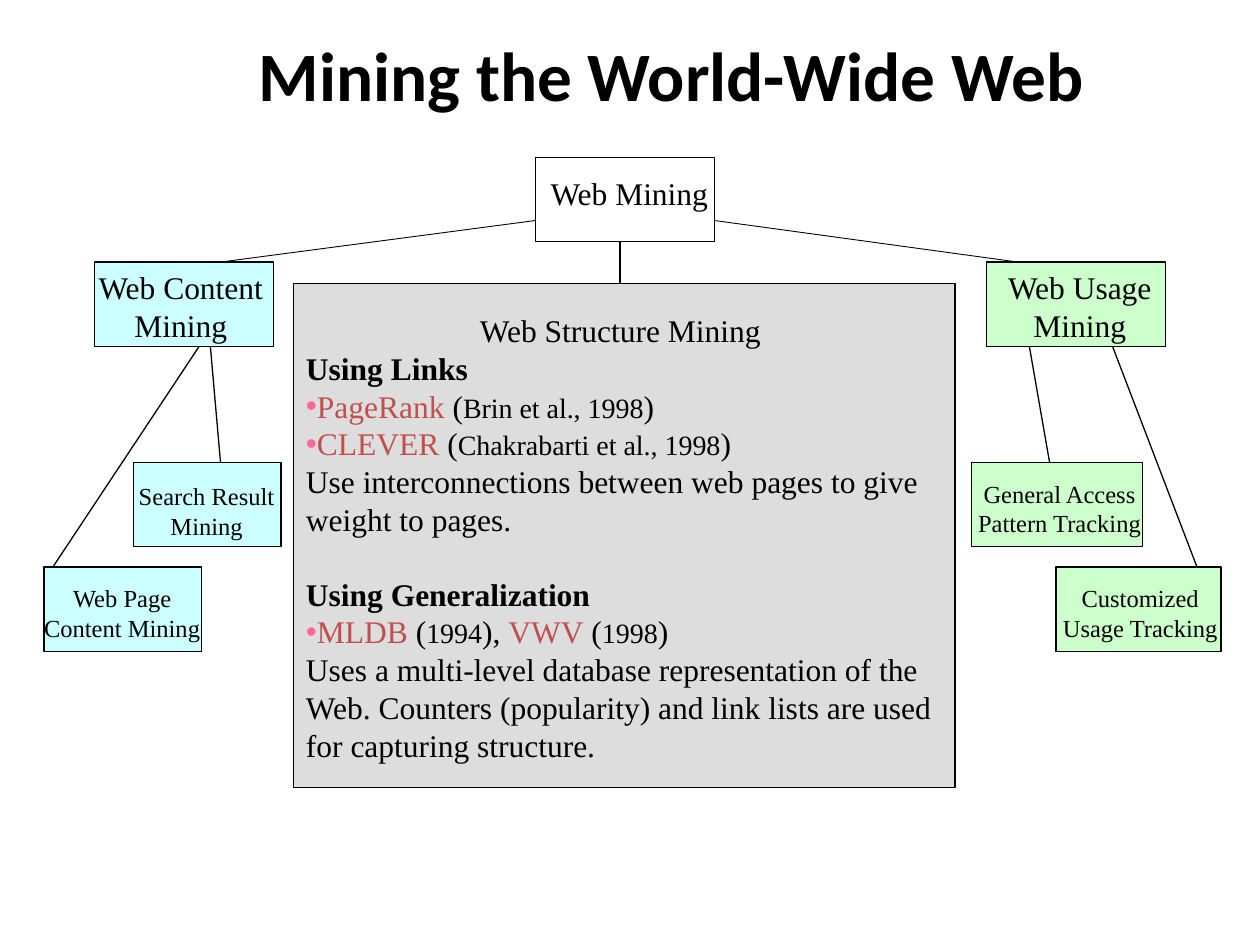
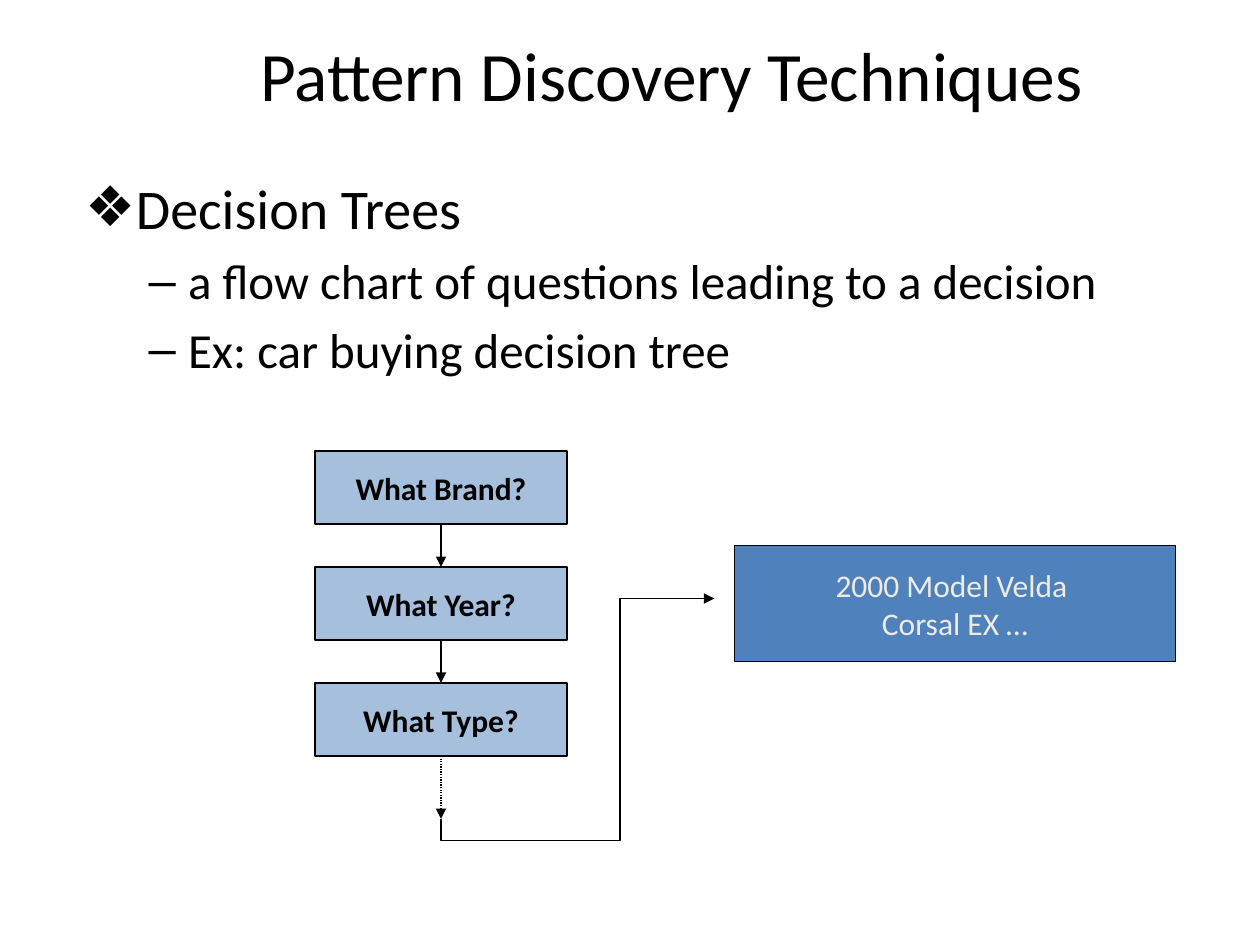
from dataclasses import dataclass
from typing import Optional

import pptx
import pptx.dml.color
import pptx.enum.dml
import pptx.enum.shapes
import pptx.enum.text
import pptx.oxml.ns
import pptx.util
from lxml import etree

Inches = pptx.util.Inches
Pt = pptx.util.Pt
qn = pptx.oxml.ns.qn
RECTANGLE = pptx.enum.shapes.MSO_SHAPE.RECTANGLE
STRAIGHT = pptx.enum.shapes.MSO_CONNECTOR.STRAIGHT
MIDDLE = pptx.enum.text.MSO_ANCHOR.MIDDLE
CENTER = pptx.enum.text.PP_ALIGN.CENTER

# Shared style
SANS, SERIF = "Calibri", "Times New Roman"
BLACK, RED, PINK = "000000", "C0504D", "FF6699"
CYAN, GREEN, GREY = "CCFFFF", "CCFFCC", "DDDDDD"
BLUE, CREAM = "4F81BD", "EEECE1"


@dataclass
class Node:
    """A tree box and the label laid over it."""
    lines: str
    left: float
    top: float
    width: float
    fill: Optional[str]
    label_left: float
    label_top: float
    label_width: float
    size: float = 14


@dataclass
class Link:
    x1: float
    y1: float
    x2: float
    y2: float
    width: float = 0.75


@dataclass
class Span:
    text: str
    size: float = 18
    color: str = BLACK
    bold: bool = False


@dataclass
class Para:
    spans: list[Span]
    bullet: bool = False
    centered: bool = False
    before: float = 0


# Drawing helpers
def rgb(value: str):
    return pptx.dml.color.RGBColor.from_string(value)


def style_run(r, font: str, size: float, color: str = BLACK, bold: bool = False):
    r.font.name, r.font.size, r.font.bold = font, Pt(size), bold
    r.font.color.rgb = rgb(color)


def style_text(tf, font: str, size: float, color: str = BLACK, bold: bool = False):
    for p in tf.paragraphs:
        p.alignment = CENTER
        for r in p.runs:
            style_run(r, font, size, color, bold)


def add_title(s, text: str, bold: bool = False):
    sp = s.shapes.title
    sp.left, sp.top, sp.width, sp.height = map(Inches, (1.08, 0.25, 8.5, 0.67))
    tf = sp.text_frame
    tf.text = text
    tf.auto_size = pptx.enum.text.MSO_AUTO_SIZE.NONE
    tf.vertical_anchor = MIDDLE
    style_text(tf, SANS, 39.6, BLACK, bold)


def outline(sp, width: float):
    sp.line.color.rgb = rgb(BLACK)
    sp.line.width = Pt(width)


def add_box(s, left: float, top: float, width: float, height: float,
            fill: Optional[str], line: float = 0.75, alpha: int = 100):
    sp = s.shapes.add_shape(RECTANGLE, *map(Inches, (left, top, width, height)))
    sp.shadow.inherit = False
    if fill:
        sp.fill.solid()
        sp.fill.fore_color.rgb = rgb(fill)
        if alpha < 100:
            color = sp._element.spPr.find(qn("a:solidFill"))[0]
            etree.SubElement(color, qn("a:alpha"), val=str(alpha * 1000))
    else:
        sp.fill.background()
    outline(sp, line)
    return sp


def add_text_box(s, left: float, top: float, width: float, height: float, wrap: bool):
    tf = s.shapes.add_textbox(*map(Inches, (left, top, width, height))).text_frame
    tf.word_wrap = wrap
    return tf


def add_line(s, link: Link, arrow: bool = False):
    c = s.shapes.add_connector(
        STRAIGHT, *map(Inches, (link.x1, link.y1, link.x2, link.y2)))
    outline(c, link.width)
    if arrow:
        etree.SubElement(c.line._get_or_add_ln(), qn("a:tailEnd"), type="triangle")
    etree.SubElement(c._element.spPr, qn("a:effectLst"))
    return c


def set_bullet(p, char: str, color: Optional[str] = None):
    pPr = p._p.get_or_add_pPr()
    if color:
        clr = etree.SubElement(pPr, qn("a:buClr"))
        etree.SubElement(clr, qn("a:srgbClr"), val=color)
    etree.SubElement(pPr, qn("a:buFont"), typeface="Arial")
    etree.SubElement(pPr, qn("a:buChar"), char=char)


def add_node(s, node: Node):
    add_box(s, node.left, node.top, node.width, 0.67, node.fill)
    height = 0.1 + (node.lines.count("\n") + 1) * node.size / 60
    tf = add_text_box(s, node.label_left, node.label_top, node.label_width, height, False)
    tf.text = node.lines
    style_text(tf, SERIF, node.size)


# Slide 1: taxonomy of web mining
NODES = [
    Node("Web Mining", 4.25, 1.25, 1.42, None, 4.26, 1.33, 1.47, 18),
    Node("Web Content\nMining", 0.75, 2.08, 1.42, CYAN, 0.67, 2.08, 1.53, 18),
    Node("Search Result\nMining", 1.06, 3.67, 1.17, CYAN, 1, 3.77, 1.28),
    Node("Web Page\nContent Mining", 0.35, 4.5, 1.25, CYAN, 0.25, 4.58, 1.44),
    Node("Web Usage\nMining", 7.83, 2.08, 1.42, GREEN, 7.89, 2.08, 1.36, 18),
    Node("General Access\nPattern Tracking", 7.71, 3.67, 1.36, GREEN, 7.66, 3.75, 1.5),
    Node("Customized\nUsage Tracking", 8.38, 4.5, 1.31, GREEN, 8.33, 4.58, 1.44),
]
LINKS = [
    Link(4.92, 1.92, 4.92, 2.25),
    Link(1.67, 2.75, 1.75, 3.67),
    Link(1.58, 2.75, 0.42, 4.5),
    Link(8.17, 2.75, 8.33, 3.67),
    Link(8.83, 2.75, 9.5, 4.5),
    Link(5.67, 1.75, 8.08, 2.08, 0.5),
    Link(4.25, 1.75, 1.75, 2.08, 0.5),
]


def cited(name: str, source: str, end: str = ")") -> list[Span]:
    return [Span(name, color=RED), Span(" ("), Span(source, 16), Span(end)]


STRUCTURE = [
    Para([Span("Web Structure Mining ")], centered=True),
    Para([Span("Using Links", bold=True)]),
    Para(cited("PageRank", "Brin et al., 1998"), bullet=True),
    Para(cited("CLEVER", "Chakrabarti et al., 1998"), bullet=True),
    Para([Span("Use interconnections between web pages to give weight to pages.")]),
    Para([Span("Using Generalization", bold=True)], before=21),
    Para(cited("MLDB", "1994", "), ") + cited("VWV", "1998"), bullet=True),
    Para([Span("Uses a multi-level database representation of the Web. Counters "
               "(popularity) and link lists are used for capturing structure.")]),
]


def build_taxonomy(prs):
    s = prs.slides.add_slide(prs.slide_layouts[5])
    add_title(s, "Mining the World-Wide Web", bold=True)
    for link in LINKS:
        add_line(s, link)
    for node in NODES:
        add_node(s, node)

    # Central panel
    add_box(s, 2.33, 2.25, 5.25, 4, GREY)
    tf = add_text_box(s, 2.33, 2.42, 5.25, 3.7, True)
    for i, para in enumerate(STRUCTURE):
        p = tf.add_paragraph() if i else tf.paragraphs[0]
        if para.centered:
            p.alignment = CENTER
        if para.before:
            p.space_before = Pt(para.before)
        if para.bullet:
            set_bullet(p, "•", PINK)
        for span in para.spans:
            r = p.add_run()
            r.text = span.text
            style_run(r, SERIF, span.size, span.color, span.bold)


# Slide 2: decision tree
QUESTIONS = ["What Brand?", "What Year?", "What Type?"]
POINTS = [
    ("Decision Trees", 0, 32),
    ("a flow chart of questions leading to a decision", 1, 28),
    ("Ex: car buying decision tree", 1, 28),
]
ROUTE = [(3.5, 6.5), (3.5, 6.67), (4.92, 6.67), (4.92, 4.75), (5.33, 4.75)]


def fill_box(sp, text: str, color: str = BLACK, bold: bool = False):
    tf = sp.text_frame
    tf.text = text
    tf.word_wrap = False
    tf.vertical_anchor = MIDDLE
    style_text(tf, SANS, 18, color, bold)


def build_decision_tree(prs):
    s = prs.slides.add_slide(prs.slide_layouts[1])
    add_title(s, "Pattern Discovery Techniques")

    # Bulleted list
    body = s.placeholders[1]
    body.left, body.top, body.width, body.height = map(Inches, (0.58, 1.33, 9.25, 5.33))
    tf = body.text_frame
    tf.text = "\n".join(text for text, _, _ in POINTS)
    for p, (_, level, size) in zip(tf.paragraphs, POINTS):
        p.level = level
        style_run(p.runs[0], SANS, size)
    set_bullet(tf.paragraphs[0], "❖")

    # Question boxes joined by arrows
    boxes = []
    for i, question in enumerate(QUESTIONS):
        sp = add_box(s, 2.5, 3.58 + 0.92 * i, 2, 0.58, BLUE, alpha=50)
        fill_box(sp, question, bold=True)
        boxes.append(sp)
    for upper, lower in zip(boxes, boxes[1:]):
        c = add_line(s, Link(3.5, 4.17, 3.5, 4.5), arrow=True)
        c.begin_connect(upper, 2)
        c.end_connect(lower, 0)
    c = add_line(s, Link(3.5, 6, 3.5, 6.5), arrow=True)
    c.line.dash_style = pptx.enum.dml.MSO_LINE.ROUND_DOT
    c.begin_connect(boxes[-1], 2)

    # Route to the decision
    corners = [(Inches(x), Inches(y)) for x, y in ROUTE]
    builder = s.shapes.build_freeform(*corners[0])
    builder.add_line_segments(corners[1:], close=False)
    sp = builder.convert_to_shape()
    sp.shadow.inherit = False
    sp.fill.background()
    outline(sp, 1)
    add_line(s, Link(5.33, 4.75, 5.67, 4.75, 1), arrow=True)
    decision = add_box(s, 5.83, 4.33, 3.5, 0.92, BLUE, line=1)
    fill_box(decision, "2000 Model Velda \nCorsal EX …", CREAM)


def main():
    prs = pptx.Presentation()
    prs.slide_width, prs.slide_height = Inches(10), Inches(7.5)
    build_taxonomy(prs)
    build_decision_tree(prs)
    prs.save("out.pptx")


if __name__ == "__main__":
    main()
